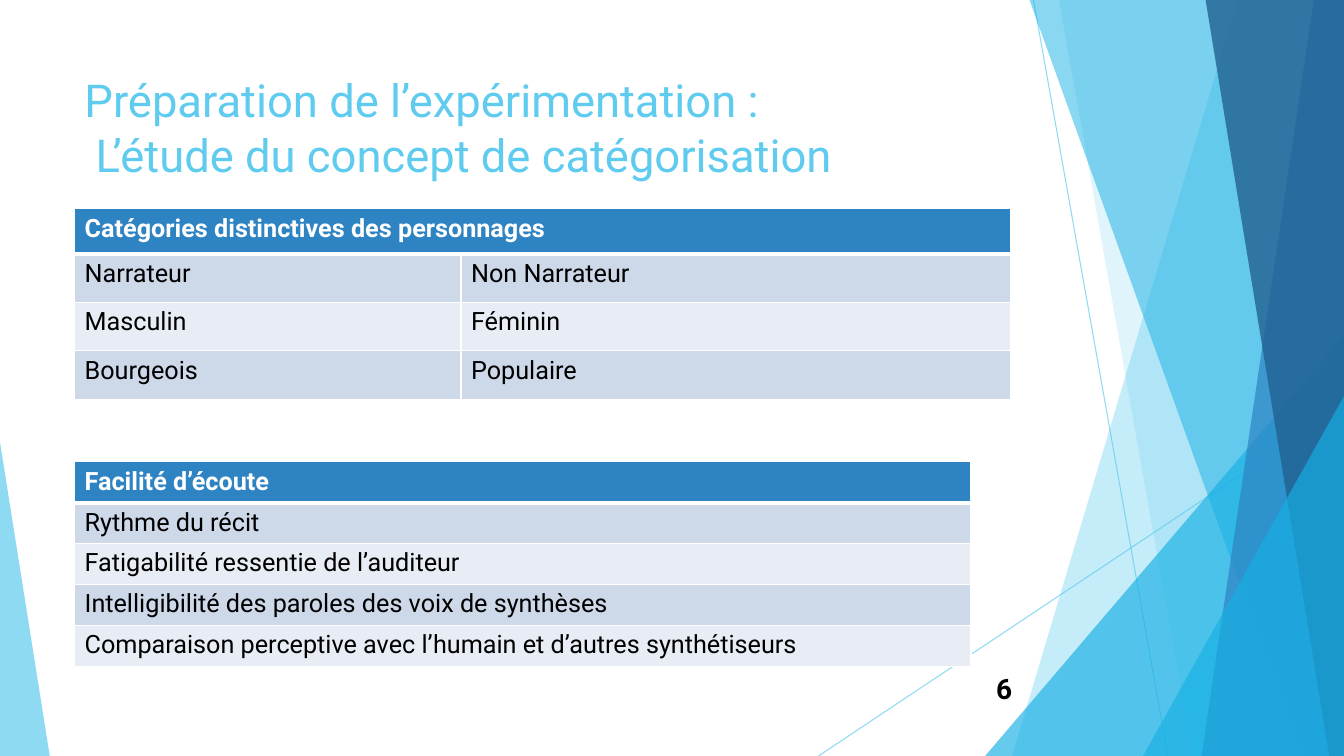
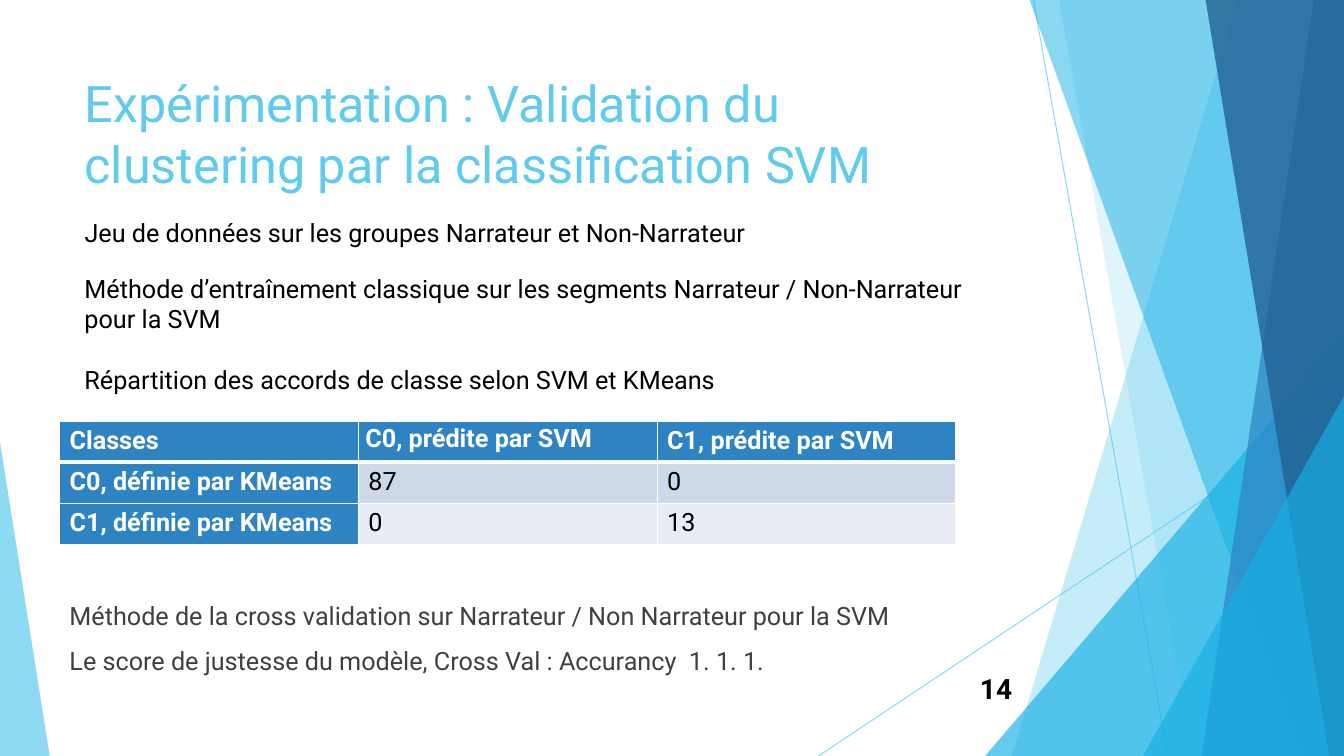
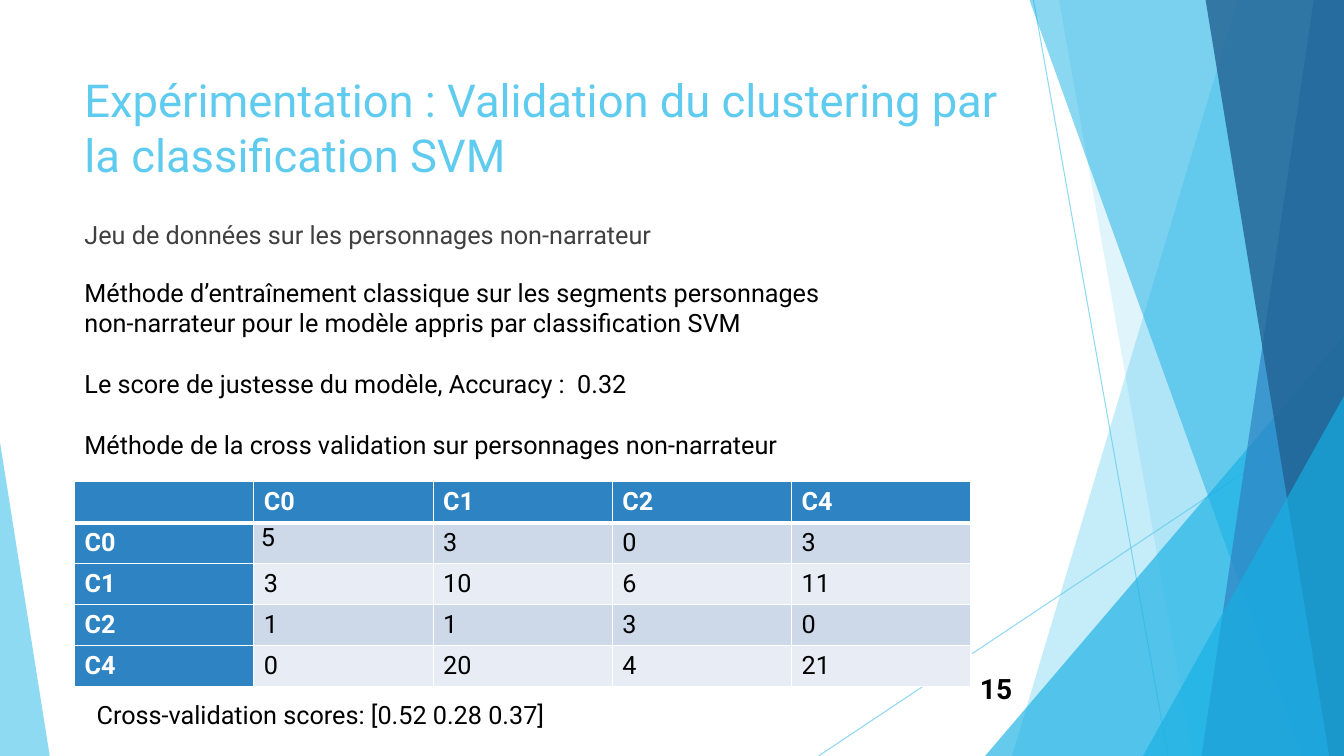
import lxml.etree
import pptx
import pptx.dml.color
import pptx.enum.shapes
import pptx.enum.text
import pptx.oxml.ns
import pptx.util

SKY, CYAN, BLUE, NAVY = "5FCBEF", "17B0E4", "2E83C3", "226292"
WHITE, BLACK, GREY = "FFFFFF", "000000", "404040"
STRIPES = ["E8EDF5", "CDD9E9"]
FONT = "Roboto"
LEFT, TABLE_LEFT, TEXT_WIDTH, TABLE_WIDTH = 5.55, 4.43, 70.5, 66.7
ROW_HEIGHT = 5.42
BLANK_LINE = 21.8

qn = pptx.oxml.ns.qn


def paint(fill, color, holder=None, opacity=100):
    fill.solid()
    fill.fore_color.rgb = pptx.dml.color.RGBColor.from_string(color)
    if holder is not None:
        for tint in holder.iter(qn("a:srgbClr")):
            lxml.etree.SubElement(tint, qn("a:alpha"), val=str(opacity * 1000))


def write(frame, text, size=18, color=BLACK, bold=False, align=None, before=0, lines=None):
    frame.word_wrap = True
    paragraphs = [text] if isinstance(text, str) else text
    for index, content in enumerate(paragraphs):
        para = frame.add_paragraph() if index else frame.paragraphs[0]
        para.text = content
        para.alignment = align
        para.space_before = pptx.util.Pt(before)
        if lines:
            para.line_spacing = lines
        for span in para.runs:
            span.font.name = FONT
            span.font.size = pptx.util.Pt(size)
            span.font.bold = bold
            paint(span.font.fill, color)


deck = pptx.Presentation()
deck.slide_width = pptx.util.Inches(13.33)
deck.slide_height = pptx.util.Inches(7.5)
column = deck.slide_width / 100
row = deck.slide_height / 100

hairlines = [(76.9, 0, 86.9, 100), (100, 53.7, 60.9, 100)]
bands = [
    ("slant", SKY, 36, (92.1, 75.3)),
    ("slant", SKY, 20, (78.8, 88.75)),
    ("triangle", CYAN, 66, (73.3, 44.4, 26.7, 1)),
    ("slant", CYAN, 50, (76.6, 96.85)),
    ("slant", BLUE, 70, (97.75, 89.4)),
    ("slant", NAVY, 80, (89.7, 98.9)),
    ("triangle", CYAN, 66, (85.05, 52.4, 14.95, 1)),
    ("triangle", SKY, 70, (0, 58.5, 3.7, 0)),
]

pages = [
    {
        "number": "6",
        "title": "Préparation de l’expérimentation :\n L’étude du concept de catégorisation",
        "title_size": 32.4,
        "texts": [],
        "tables": [
            {
                "at": (LEFT, 27.6),
                "widths": [28.75, 40.9],
                "heights": [6, 6.4, 6.4, 6.4],
                "rows": [
                    ["Catégories distinctives des personnages"],
                    ["Narrateur", "Non Narrateur"],
                    ["Masculin", "Féminin"],
                    ["Bourgeois", "Populaire"],
                ],
                "side_header": False,
                "tight": {},
            },
            {
                "at": (LEFT, 61.07),
                "widths": [TABLE_WIDTH],
                "heights": [ROW_HEIGHT] * 5,
                "rows": [
                    ["Facilité d’écoute"],
                    ["Rythme du récit"],
                    ["Fatigabilité ressentie de l’auditeur"],
                    ["Intelligibilité des paroles des voix de synthèses"],
                    ["Comparaison perceptive avec l’humain et d’autres synthétiseurs"],
                ],
                "side_header": False,
                "tight": {},
            },
        ],
    },
    {
        "number": "14",
        "title": "Expérimentation : Validation du clustering par la classification SVM",
        "title_size": 36,
        "texts": [
            ((TABLE_LEFT, 78.8, TABLE_WIDTH, 12.27), [
                "Méthode de la cross validation sur Narrateur / Non Narrateur pour la SVM",
                "Le score de justesse du modèle, Cross Val : Accurancy  1. 1. 1.",
            ], {"color": GREY, "before": 10}),
            ((LEFT, 35.47, TEXT_WIDTH, 17.47), [
                "Méthode d’entraînement classique sur les segments Narrateur / Non-Narrateur pour la SVM",
                "Répartition des accords de classe selon SVM et KMeans",
            ], {"before": BLANK_LINE}),
            ((LEFT, 28.13, 61.2, 5.33),
             "Jeu de données sur les groupes Narrateur et Non-Narrateur", {}),
        ],
        "tables": [
            {
                "at": (TABLE_LEFT, 55.73),
                "widths": [TABLE_WIDTH / 3] * 3,
                "heights": [ROW_HEIGHT] * 3,
                "rows": [
                    ["Classes", "C0, prédite par SVM", "C1, prédite par SVM"],
                    ["C0, définie par KMeans", "87", "0"],
                    ["C1, définie par KMeans", "0", "13"],
                ],
                "side_header": True,
                "tight": {(0, 1): {"before": 6, "lines": 1.1}},
            },
        ],
    },
    {
        "number": "15",
        "title": "Expérimentation : Validation du clustering par la classification SVM",
        "title_size": 32.4,
        "texts": [
            ((LEFT, 28.4, TEXT_WIDTH, 7.33),
             "Jeu de données sur les personnages non-narrateur", {"color": GREY}),
            ((LEFT, 36, 63.6, 25.6), [
                "Méthode d’entraînement classique sur les segments personnages\n"
                "non-narrateur pour le modèle appris par classification SVM",
                "Le score de justesse du modèle, Accuracy :  0.32",
                "Méthode de la cross validation sur personnages non-narrateur",
            ], {"before": BLANK_LINE}),
            ((6.45, 91.87, 65.8, 5.33), "Cross-validation scores: [0.52 0.28 0.37]", {}),
        ],
        "tables": [
            {
                "at": (LEFT, 63.73),
                "widths": [TABLE_WIDTH / 5] * 5,
                "heights": [ROW_HEIGHT] * 5,
                "rows": [
                    ["", "C0", "C1", "C2", "C4"],
                    ["C0", "5", "3", "0", "3"],
                    ["C1", "3", "10", "6", "11"],
                    ["C2", "1", "1", "3", "0"],
                    ["C4", "0", "20", "4", "21"],
                ],
                "side_header": True,
                "tight": {(1, 1): {}},
            },
        ],
    },
]

for content in pages:
    page = deck.slides.add_slide(deck.slide_layouts[6])

    for x1, y1, x2, y2 in hairlines:
        hairline = page.shapes.add_connector(
            pptx.enum.shapes.MSO_CONNECTOR.STRAIGHT,
            int(x1 * column), int(y1 * row), int(x2 * column), int(y2 * row))
        hairline.line.width = pptx.util.Pt(0.75)
        paint(hairline.line.fill, SKY, hairline.element, 70)
        lxml.etree.SubElement(hairline.element.find(qn("p:spPr")), qn("a:effectLst"))

    for kind, color, opacity, edges in bands:
        if kind == "slant":
            top_x, bottom_x = edges
            outline = page.shapes.build_freeform(int(top_x * column), 0)
            outline.add_line_segments([
                (deck.slide_width, 0),
                (deck.slide_width, deck.slide_height),
                (int(bottom_x * column), deck.slide_height),
            ], close=True)
            band = outline.convert_to_shape()
        else:
            left, top, width, apex = edges
            band = page.shapes.add_shape(
                pptx.enum.shapes.MSO_SHAPE.ISOSCELES_TRIANGLE,
                int(left * column), int(top * row),
                int(width * column), int((100 - top) * row))
            band.adjustments[0] = apex
        band.shadow.inherit = False
        band.line.fill.background()
        paint(band.fill, color, band.element, opacity)

    number_format = {"size": 20, "bold": True, "align": pptx.enum.text.PP_ALIGN.RIGHT}
    title_format = {"size": content["title_size"], "color": SKY}
    texts = [
        ((LEFT, 8.93, TEXT_WIDTH, 19.2), content["title"], title_format),
        *content["texts"],
        ((70.45, 88.13, 5.6, 5.33), content["number"], number_format),
    ]
    for (left, top, width, height), text, text_format in texts:
        box = page.shapes.add_textbox(
            int(left * column), int(top * row), int(width * column), int(height * row))
        write(box.text_frame, text, **text_format)

    for grid in content["tables"]:
        left, top = grid["at"]
        widths, heights, rows = grid["widths"], grid["heights"], grid["rows"]
        table = page.shapes.add_table(
            len(heights), len(widths), int(left * column), int(top * row),
            int(sum(widths) * column), int(sum(heights) * row)).table
        table.first_col = grid["side_header"]
        for index, width in enumerate(widths):
            table.columns[index].width = int(width * column)
        for index, height in enumerate(heights):
            table.rows[index].height = int(height * row)
        if len(rows[0]) < len(widths):
            table.cell(0, 0).merge(table.cell(0, len(widths) - 1))

        for r in range(len(heights)):
            for c in range(len(widths)):
                cell = table.cell(r, c)
                header = r == 0 or (grid["side_header"] and c == 0)
                thick_side = {0: "lnB", 1: "lnT"}.get(r)
                for side in ("lnL", "lnR", "lnT", "lnB"):
                    points = 3 if side == thick_side else 1
                    border = lxml.etree.SubElement(
                        cell._tc.get_or_add_tcPr(), qn("a:" + side),
                        w=str(pptx.util.Pt(points)))
                    solid = lxml.etree.SubElement(border, qn("a:solidFill"))
                    lxml.etree.SubElement(solid, qn("a:srgbClr"), val=WHITE)
                paint(cell.fill, BLUE if header else STRIPES[r % 2])
                cell_format = {}
                if (r, c) in grid["tight"]:
                    cell_format = grid["tight"][r, c]
                    cell.margin_left = cell.margin_right = pptx.util.Inches(0.07)
                    cell.margin_top = cell.margin_bottom = 0
                if c < len(rows[r]) and rows[r][c]:
                    write(cell.text_frame, rows[r][c], bold=header,
                          color=WHITE if header else BLACK, **cell_format)

deck.save("out.pptx")
